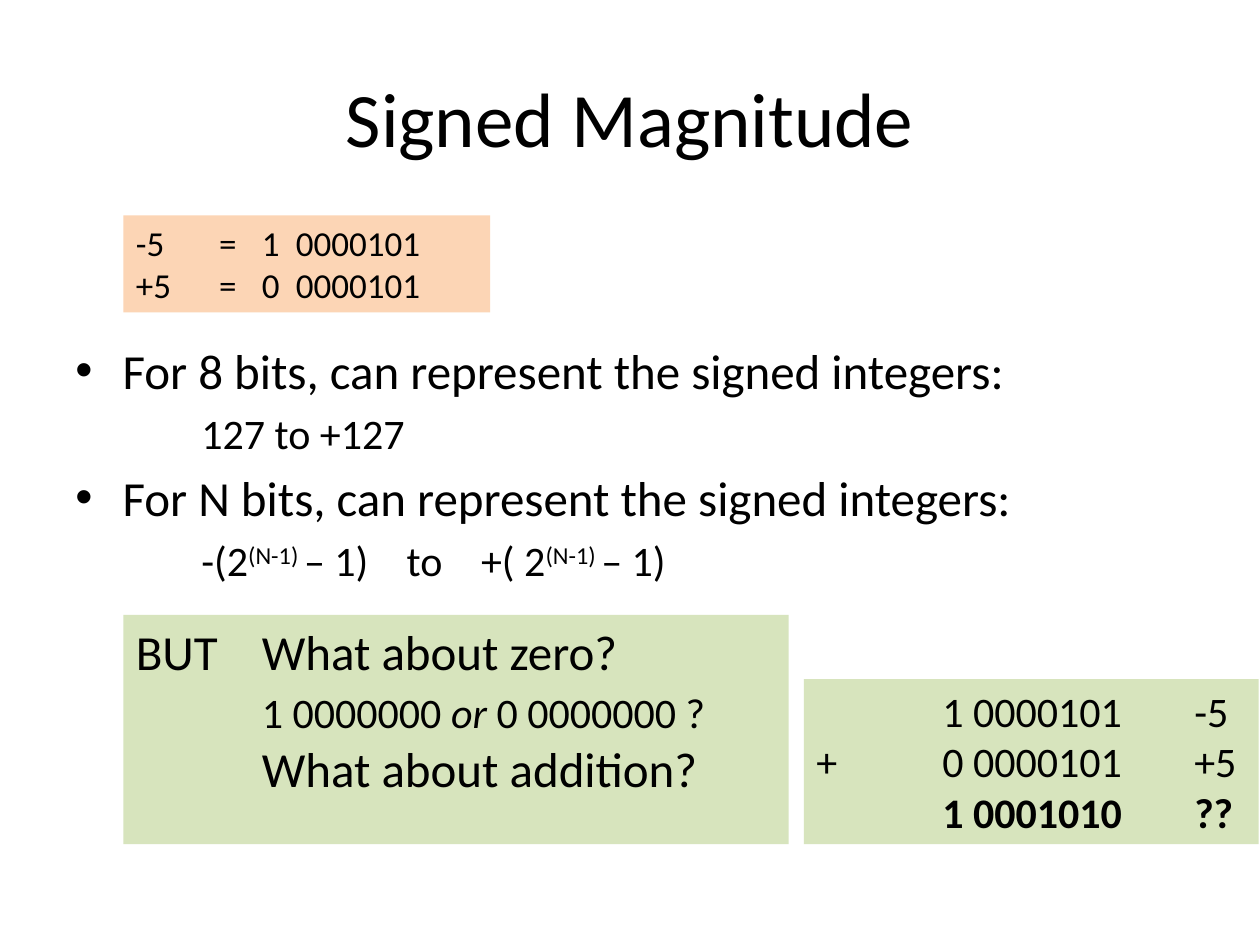
from lxml import etree
from pptx import Presentation, util as u
from pptx.dml.color import RGBColor
from pptx.enum import shapes, text
from pptx.oxml.ns import qn

COLORS = {"ink": "000000", "peach": "FCD5B5", "green": "D7E4BD"}
FONT = "Calibri"
CELL = u.Inches(0.1)  # the page is a grid of 100 columns by 75 rows
COLUMNS, ROWS = 100, 75
LARGE, MEDIUM, SMALL = 28, 24, 20


def cells(*counts):
    return [u.Emu(round(count * CELL)) for count in counts]


def color(name):
    return RGBColor.from_string(COLORS[name])


def add_panel(page, box, fill=None):
    """Add a filled rectangle, or a plain text box, and return its text frame."""
    if fill:
        panel = page.shapes.add_shape(shapes.MSO_SHAPE.RECTANGLE, *cells(*box))
        panel.shadow.inherit = False
        panel.fill.solid()
        panel.fill.fore_color.rgb = color(fill)
        panel.line.fill.background()
    else:
        panel = page.shapes.add_textbox(*cells(*box))
    frame = panel.text_frame
    frame.word_wrap = True
    frame.vertical_anchor = text.MSO_ANCHOR.TOP
    return frame


def add_para(frame, size, spans, tabs=(), bullet=False, align=text.PP_ALIGN.LEFT):
    """Write one paragraph; each span is (wording, run settings)."""
    first = frame.paragraphs[0]
    para = first if not first.runs else frame.add_paragraph()
    props = para._p.get_or_add_pPr()
    if bullet:
        indent = cells(3.75)[0]
        props.set("marL", str(indent))
        props.set("indent", str(-indent))
        etree.SubElement(props, qn("a:buFont")).set("typeface", "Arial")
        etree.SubElement(props, qn("a:buChar")).set("char", "•")
    if tabs:
        stops = etree.SubElement(props, qn("a:tabLst"))
        for place in cells(*tabs):
            etree.SubElement(stops, qn("a:tab"), pos=str(place), algn="l")
    para.alignment = align
    para.font.name = FONT
    para.font.size = u.Pt(size)
    para.font.color.rgb = color("ink")
    for wording, settings in spans:
        if wording == "\n":
            para.add_line_break()
            continue
        span = para.add_run()
        span.text = wording
        if "size" in settings:
            span.font.size = u.Pt(settings["size"])
        if "bold" in settings:
            span.font.bold = True
        if "italic" in settings:
            span.font.italic = True
        if "raised" in settings:
            span._r.get_or_add_rPr().set("baseline", "30000")
    return para


def add_title(page, box):
    frame = add_panel(page, box)
    frame.vertical_anchor = text.MSO_ANCHOR.MIDDLE
    add_para(frame, 44, [("Signed Magnitude", {})], align=text.PP_ALIGN.CENTER)


def add_encoding(page, box):
    frame = add_panel(page, box, "peach")
    lines = [("-5\t=\t1\t0000101", {}), ("\n", {}), ("+5\t=\t0\t0000101", {})]
    add_para(frame, SMALL, lines, tabs=(6.6, 10, 12.7))


def add_ranges(page, box):
    frame = add_panel(page, box)
    power = ("(N-1) ", {"raised": True})
    n_range = [("\t-(2", {}), power, ("– 1)\tto\t+( 2", {}), power, ("– 1)", {})]
    ranges = [("8", [("\t127 to +127", {})]), ("N", n_range)]
    for bits, limits in ranges:
        heading = f"For {bits} bits, can represent the signed integers:"
        add_para(frame, LARGE, [(heading, {})], bullet=True)
        add_para(frame, MEDIUM, limits, tabs=(10, 26.3, 32.2))
    for para in frame.paragraphs[1:]:
        para.space_before = u.Pt(para.font.size.pt * 0.2)


def add_questions(page, box):
    frame = add_panel(page, box, "green")
    medium = {"size": MEDIUM}
    add_para(frame, LARGE, [
        ("BUT\tWhat about zero?", {}), ("\n", {}), ("\t", {}),
        ("1 0000000 ", medium), ("or", {"italic": True, **medium}),
        (" 0 0000000 ?", medium)], tabs=(10,))
    add_para(frame, LARGE, [("\t", medium), ("What about addition?", {})], tabs=(10,))


def add_sum(page, box):
    frame = add_panel(page, box, "green")
    rows = [("\t1 0000101\t-5", {}), ("+\t0 0000101\t+5", {}),
            ("\t1 0001010\t??", {"bold": True})]
    for row in rows:
        add_para(frame, MEDIUM, [row], tabs=(10, 30))


def main():
    deck = Presentation()
    deck.slide_width, deck.slide_height = cells(COLUMNS, ROWS)
    page = deck.slides.add_slide(deck.slide_layouts[6])
    add_title(page, (5, 3, 90, 12.5))
    add_ranges(page, (5, 26.5, 90, 40.5))
    add_encoding(page, (9.8, 17.1, 29.1, 7.7))
    add_questions(page, (9.8, 48.8, 52.8, 18.2))
    add_sum(page, (63.8, 53.9, 36.1, 13.1))
    deck.save("out.pptx")


if __name__ == "__main__":
    main()
